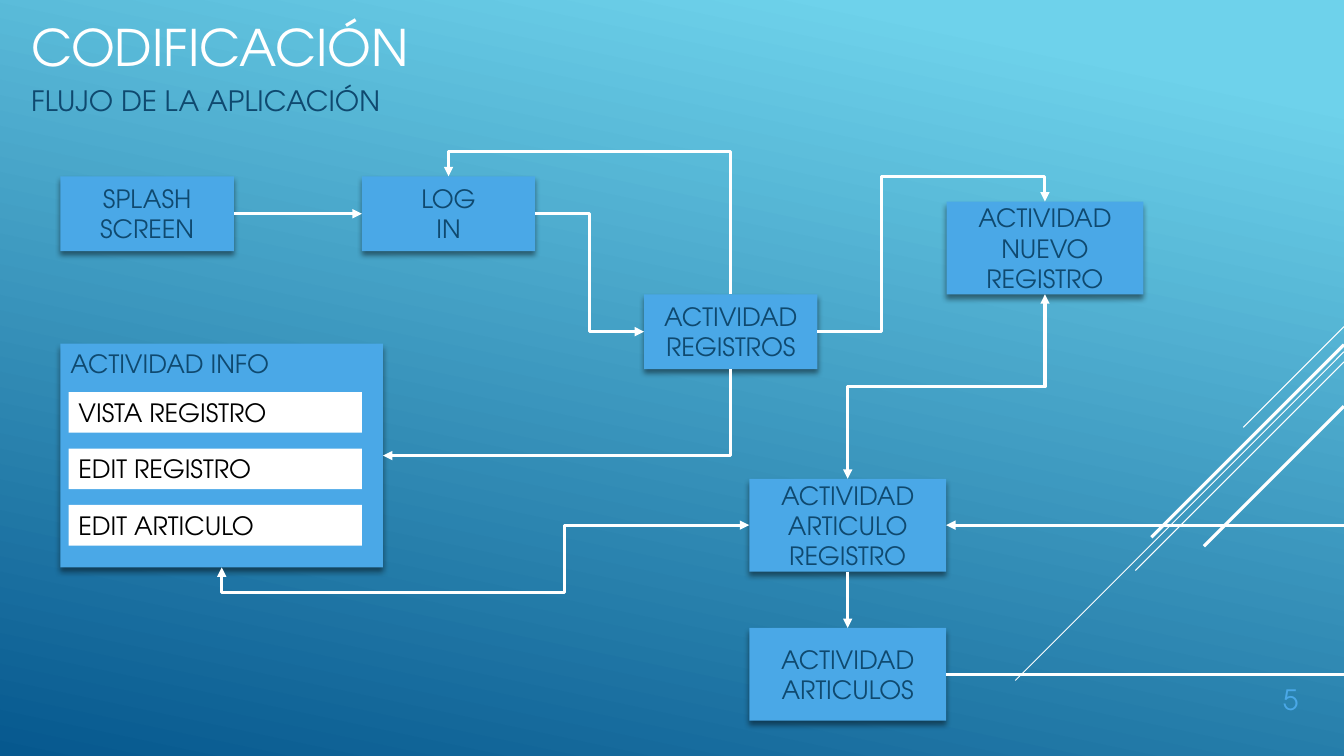
from dataclasses import dataclass

import lxml.etree
import pptx
import pptx.dml.color
import pptx.enum.shapes
import pptx.enum.text
import pptx.oxml.ns
import pptx.util

COLS, ROWS = 160, 90
FONT = "TeX Gyre Adventor"
WHITE, BLUE, NAVY, BLACK = "FFFFFF", "4AA8E7", "0F496F", "000000"
TOP, LEFT, BOTTOM, RIGHT = range(4)
ALIGN = pptx.enum.text.PP_ALIGN
ANCHOR = pptx.enum.text.MSO_ANCHOR
CONNECTOR = pptx.enum.shapes.MSO_CONNECTOR
qn = pptx.oxml.ns.qn

deck = pptx.Presentation()
deck.slide_width = pptx.util.Inches(13.333)
deck.slide_height = pptx.util.Inches(7.5)


@dataclass
class Step:
    """A box of the flow, in grid columns and rows."""
    key: str
    lines: list[str]
    col: float
    row: float
    cols: float = 20.64
    rows: float = 8.9
    fill: str = BLUE
    ink: str = NAVY
    align: ALIGN = ALIGN.CENTER
    anchor: ANCHOR = ANCHOR.MIDDLE
    shadow: bool = True


@dataclass
class Flow:
    """An arrow from a side of one step to a side of another."""
    start: str
    start_side: int
    end: str
    end_side: int
    preset: str = "bentConnector3"
    turn: int = 0
    flips: str = ""
    bends: tuple[float, ...] = ()
    both_ends: bool = False


BIG = {"cols": 23.44, "rows": 11.04}
PANEL = {"align": ALIGN.LEFT, "anchor": ANCHOR.TOP}
STEPS = [
    Step("splash", ["SPLASH", "SCREEN"], 7.2, 21),
    Step("login", ["LOG", "IN"], 43.08, 21),
    Step("registros", ["ACTIVIDAD", "REGISTROS"], 76.68, 35.04),
    Step("info", ["ACTIVIDAD INFO"], 7.2, 40.92, 38.4, 26.64, **PANEL),
    *[Step(view, [view], 8.16, 46.68 + 6.72 * i, 34.92, 4.84, WHITE, BLACK,
           shadow=False, **PANEL)
      for i, view in enumerate(["VISTA REGISTRO", "EDIT REGISTRO", "EDIT ARTICULO"])],
    Step("nuevo", ["ACTIVIDAD", "NUEVO REGISTRO"], 112.68, 24, **BIG),
    Step("articulo", ["ACTIVIDAD", "ARTICULO", "REGISTRO"], 89.2, 57, **BIG),
    Step("articulos", ["ACTIVIDAD", "ARTICULOS"], 89.2, 74.76, **BIG),
]
FLOWS = [
    Flow("splash", RIGHT, "login", LEFT, "line"),
    Flow("registros", TOP, "login", TOP, turn=270, flips="V", bends=(1.21,)),
    Flow("registros", BOTTOM, "info", RIGHT, "bentConnector2", turn=90),
    Flow("login", RIGHT, "registros", LEFT, bends=(0.5,)),
    Flow("registros", RIGHT, "nuevo", TOP, "bentConnector4", flips="V", bends=(0.28, 1.19)),
    Flow("info", BOTTOM, "articulo", LEFT, "bentConnector4", 90, "HV", (-0.6, 0.65), True),
    Flow("nuevo", BOTTOM, "articulo", TOP, turn=90, bends=(0.5,), both_ends=True),
    Flow("articulo", BOTTOM, "articulos", TOP, "line"),
]
# Row at the right edge, run of the diagonal, line width
RAYS = [(38.88, 12, 0.75), (41.88, 39.12, 0.75), (43.08, 24.84, 0.75),
        (41.04, 22.92, 2.25), (48.36, 16.68, 2.25)]


def x(cols: float) -> int:
    return round(deck.slide_width * cols / COLS)


def y(rows: float) -> int:
    return round(deck.slide_height * rows / ROWS)


def rgb(code: str) -> pptx.dml.color.RGBColor:
    return pptx.dml.color.RGBColor.from_string(code)


def add_xml(parent, tag: str, **values):
    return lxml.etree.SubElement(parent, qn(tag), {k: str(v) for k, v in values.items()})


def place(shape, col: float, row: float, cols: float, rows: float) -> None:
    spot = {"left": x(col), "top": y(row), "width": x(cols), "height": y(rows)}
    for name, value in spot.items():
        setattr(shape, name, value)


def write(shape, lines: list[str], size: float, ink: str, align=ALIGN.LEFT,
          anchor=ANCHOR.TOP) -> None:
    frame = shape.text_frame
    frame_format = {"word_wrap": True, "vertical_anchor": anchor,
                    "auto_size": pptx.enum.text.MSO_AUTO_SIZE.NONE}
    for name, value in frame_format.items():
        setattr(frame, name, value)
    frame.text = "\n".join(lines)
    for paragraph in frame.paragraphs:
        props = paragraph._p.get_or_add_pPr()
        props.set("marL", "0")
        props.set("indent", "0")
        add_xml(props, "a:buNone")
        paragraph.alignment = align
        paragraph.space_before = pptx.util.Pt(0)
        font_format = {"name": FONT, "size": pptx.util.Pt(size), "bold": False}
        for name, value in font_format.items():
            setattr(paragraph.font, name, value)
        paragraph.font.color.rgb = rgb(ink)


def draw_step(slide, step: Step):
    box = slide.shapes.add_shape(pptx.enum.shapes.MSO_SHAPE.RECTANGLE, 0, 0, 0, 0)
    place(box, step.col, step.row, step.cols, step.rows)
    box.shadow.inherit = False
    box.fill.solid()
    box.fill.fore_color.rgb = rgb(step.fill)
    box.line.fill.background()
    if step.shadow:
        effects = box._element.spPr.find(qn("a:effectLst"))
        shade = add_xml(effects, "a:outerShdw", blurRad=pptx.util.Pt(4),
                        dist=pptx.util.Pt(3), dir=90 * 60000, rotWithShape=0)
        add_xml(add_xml(shade, "a:srgbClr", val=BLACK), "a:alpha", val=46000)
    write(box, step.lines, 18, step.ink, step.align, step.anchor)
    return box


def style_line(line, width: float = 2.25, head: bool = False, tail: bool = False) -> None:
    line.line.color.rgb = rgb(WHITE)
    line.line.width = pptx.util.Pt(width)
    props = line._element.spPr
    for tag, shown in {"a:headEnd": head, "a:tailEnd": tail}.items():
        if shown:
            add_xml(props.find(qn("a:ln")), tag, type="triangle")
    add_xml(props, "a:effectLst")


def draw_line(slide, start: tuple[float, float], end: tuple[float, float],
              width: float = 2.25, tail: bool = False) -> None:
    line = slide.shapes.add_connector(CONNECTOR.STRAIGHT, x(start[0]), y(start[1]),
                                      x(end[0]), y(end[1]))
    style_line(line, width, tail=tail)


def draw_flow(slide, flow: Flow, boxes: dict) -> None:
    kind = CONNECTOR.STRAIGHT if flow.preset == "line" else CONNECTOR.ELBOW
    arrow = slide.shapes.add_connector(kind, 0, 0, 0, 0)
    arrow.begin_connect(boxes[flow.start], flow.start_side)
    arrow.end_connect(boxes[flow.end], flow.end_side)
    if kind == CONNECTOR.ELBOW:
        # A quarter turn swaps width and height around the same centre
        mid_x = (arrow.begin_x + arrow.end_x) // 2
        mid_y = (arrow.begin_y + arrow.end_y) // 2
        wide, high = abs(arrow.end_x - arrow.begin_x), abs(arrow.end_y - arrow.begin_y)
        if flow.turn:
            wide, high = high, wide
        spot = {"left": mid_x - wide // 2, "top": mid_y - high // 2,
                "width": wide, "height": high}
        for name, value in spot.items():
            setattr(arrow, name, value)
        props = arrow._element.spPr
        frame = props.find(qn("a:xfrm"))
        frame.set("rot", str(flow.turn * 60000))
        for axis in "HV":
            frame.set(f"flip{axis}", str(int(axis in flow.flips)))
        outline = props.find(qn("a:prstGeom"))
        outline.set("prst", flow.preset)
        guides = outline.find(qn("a:avLst"))
        for i, bend in enumerate(flow.bends, 1):
            add_xml(guides, "a:gd", name=f"adj{i}", fmla=f"val {round(bend * 100000)}")
    style_line(arrow, head=flow.both_ends, tail=True)


def main() -> None:
    slide = deck.slides.add_slide(deck.slide_layouts[1])

    # Background
    backdrop = slide.background.fill
    backdrop.gradient()
    backdrop.gradient_angle = 360 - 102
    for stop, (position, color) in zip(backdrop.gradient_stops, [(0.1, "6ED2EB"), (1, "06588E")]):
        stop.position = position
        stop.color.rgb = rgb(color)
    for row, run, width in RAYS:
        draw_line(slide, (COLS, row), (COLS - run, row + run), width)

    # Title, subtitle and slide number
    heading, subtitle = slide.placeholders
    place(heading, 2.52, 1.08, 113.16, 8.88)
    write(heading, ["CODIFICACIÓN"], 36, WHITE, anchor=ANCHOR.MIDDLE)
    place(subtitle, 2.52, 9.36, 45.72, 4.8)
    write(subtitle, ["FLUJO DE LA APLICACIÓN"], 20, NAVY)
    number = slide.shapes.add_textbox(0, 0, 0, 0)
    place(number, 151.08, 81, 4.68, 4.8)
    write(number, ["5"], 20, BLUE, ALIGN.RIGHT, ANCHOR.BOTTOM)

    # Steps and the arrows between them
    boxes = {step.key: draw_step(slide, step) for step in STEPS}
    for flow in FLOWS:
        draw_flow(slide, flow, boxes)

    # Return from the articles to the article record, by the right edge
    draw_line(slide, (112.64, 80.28), (COLS, 80.28))
    draw_line(slide, (COLS, 62.52), (112.64, 62.52), tail=True)

    deck.save("out.pptx")


if __name__ == "__main__":
    main()
